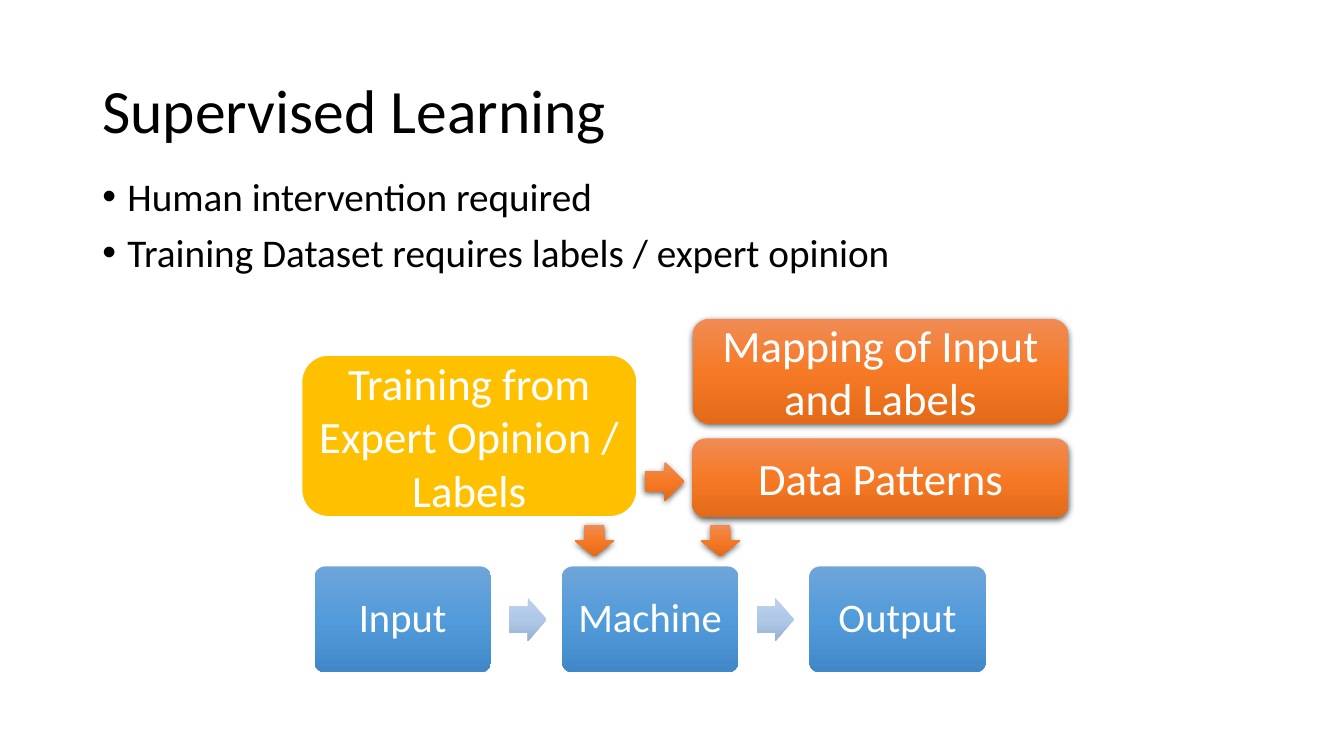
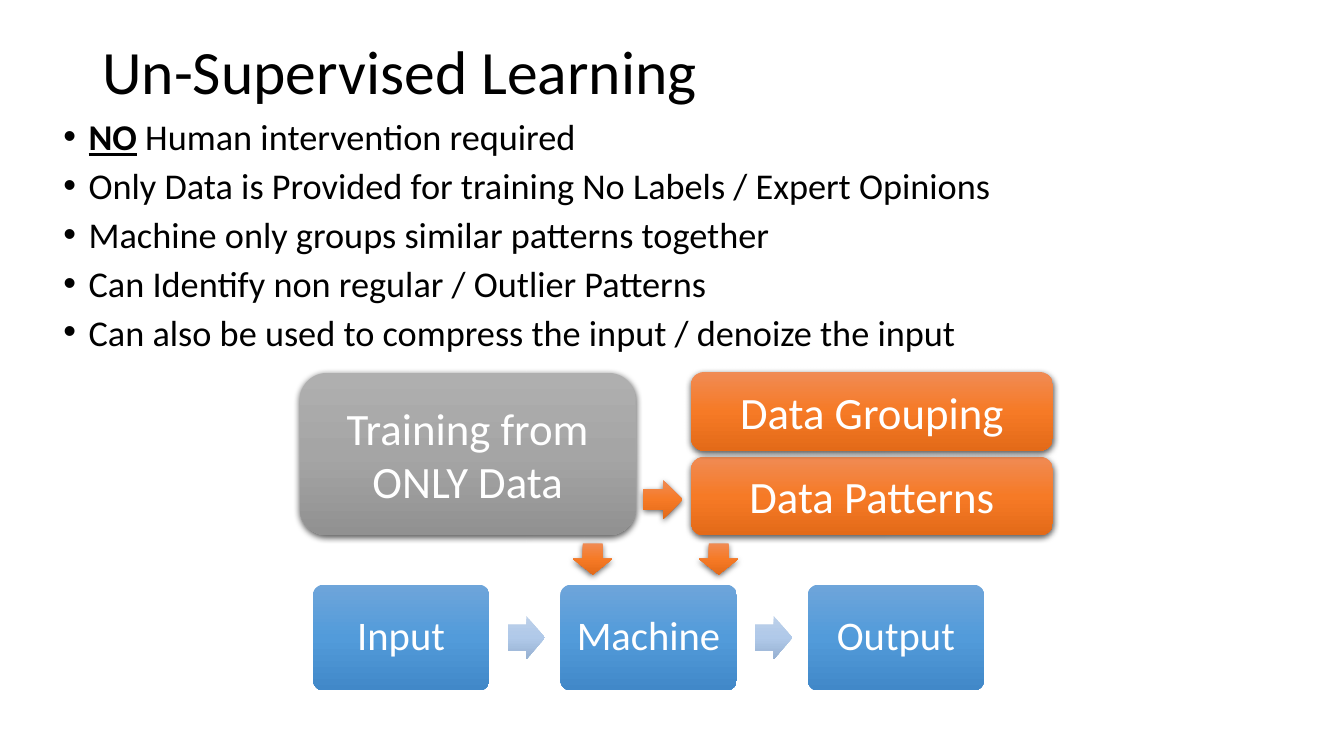
from copy import deepcopy

from lxml import etree
from pptx import Presentation, util as u
from pptx.dml import color
from pptx.enum import shapes, text
from pptx.oxml import ns

Pt = u.Pt
KIND = shapes.MSO_SHAPE
BLACK, WHITE, GOLD = "000000", "FFFFFF", "FFC000"
ORANGE = ("F08B54", "F67A26", "E36A18")
BLUE = ("6EA5DA", "529BDA", "4188C8")
PALE_BLUE = ("BDD0E9", "B0C9E9", "96B0D1")
GREY = ("AFAFAF", "A5A5A5", "919191")


def rgb(value):
    return color.RGBColor.from_string(value)


def add_child(parent, tag, **attributes):
    child = etree.SubElement(parent, ns.qn(tag))
    for name, value in attributes.items():
        child.set(name, str(value))
    return child


def write(frame, content, size=32, ink=WHITE, align=text.PP_ALIGN.CENTER,
          anchor=text.MSO_ANCHOR.MIDDLE, spacing=1.0, bullet=None, lead=""):
    frame.word_wrap = True
    frame.vertical_anchor = anchor
    for index, line in enumerate(content.split("\n")):
        paragraph = frame.paragraphs[0] if index == 0 else frame.add_paragraph()
        paragraph.alignment = align
        paragraph.line_spacing = spacing
        if bullet:
            paragraph.space_before = Pt(10 if index else 0)
            properties = paragraph._p.get_or_add_pPr()
            properties.set("marL", str(Pt(18)))
            properties.set("indent", str(-Pt(18)))
            add_child(properties, "a:buFont", typeface="Arial")
            add_child(properties, "a:buChar", char=bullet)
        strong = lead if line.startswith(lead) else ""
        for part in filter(None, (strong, line[len(strong):])):
            run = paragraph.add_run()
            run.text = part
            run.font.name = "Calibri"
            run.font.size = Pt(size)
            run.font.color.rgb = rgb(ink)
            run.font.bold = run.font.underline = part == strong


class Deck:
    """Holds the deck's style and the slide being built."""

    def __init__(self):
        self.presentation = Presentation()
        self.presentation.slide_width = Pt(960)
        self.presentation.slide_height = Pt(540)

    def new_slide(self):
        layout = self.presentation.slide_layouts[6]
        self.slide = self.presentation.slides.add_slide(layout)

    def text_area(self, box, content, **style):
        area = self.slide.shapes.add_textbox(*map(Pt, box))
        write(area.text_frame, content, ink=BLACK, align=text.PP_ALIGN.LEFT, **style)

    def title(self, top, content):
        self.text_area((66, top, 828, 104.4), content, size=44, spacing=0.9)

    def bullets(self, box, content, **style):
        self.text_area(box, content, anchor=text.MSO_ANCHOR.TOP, bullet="•", **style)

    def block(self, kind, box, fill, rounding=None, shadow=False, label="", **style):
        block = self.slide.shapes.add_shape(kind, *map(Pt, box))
        if rounding is not None:
            block.adjustments[0] = rounding
        block.shadow.inherit = False
        if isinstance(fill, str):
            block.fill.solid()
            block.fill.fore_color.rgb = rgb(fill)
            block.line.color.rgb = rgb(WHITE)
            block.line.width = Pt(1.5)
        else:
            self.shade(block, fill)
            block.line.fill.background()
        if shadow:
            effects = block._element.spPr.find(ns.qn("a:effectLst"))
            cast = add_child(effects, "a:outerShdw", blurRad=Pt(4.5), dist=Pt(1.5),
                             dir=5400000, algn="ctr", rotWithShape=0)
            add_child(add_child(cast, "a:srgbClr", val=BLACK), "a:alpha", val=63000)
        if label:
            write(block.text_frame, label, **style)

    def shade(self, block, tones):
        block.fill.gradient()
        block.fill.gradient_angle = 270
        stops = block._element.spPr.find(".//" + ns.qn("a:gsLst"))
        stops.insert(1, deepcopy(stops[0]))
        for stop, tone, position in zip(block.fill.gradient_stops, tones, (0, 0.5, 1)):
            stop.color.rgb = rgb(tone)
            stop.position = position

    def pipeline(self, left, top):
        pitch = 176.7
        for index, step in enumerate(("Input", "Machine", "Output")):
            step_left = left + index * pitch
            self.block(KIND.ROUNDED_RECTANGLE, (step_left, top, 126, 75.6), BLUE,
                       rounding=0.1, label=step, size=29, spacing=0.9)
            if index < 2:
                self.block(KIND.RIGHT_ARROW, (step_left + 139, top + 22.4, 26.7, 31),
                           PALE_BLUE, rounding=0.6)

    def learning_diagram(self, left, top, training, training_fill,
                         result, result_rise, result_height, result_width):
        self.pipeline(left, top)
        self.block(KIND.ROUNDED_RECTANGLE, (left - 9.5, top - 151.2, 240, 116),
                   training_fill, shadow=training_fill != GOLD, label=training)
        for arrow_left in (185.8, 275.8):
            self.block(KIND.DOWN_ARROW, (left + arrow_left, top - 29.5, 28, 22.3),
                       ORANGE, shadow=True)
        self.block(KIND.RIGHT_ARROW, (left + 236, top - 74.8, 28, 28), ORANGE, shadow=True)
        for label, rise, height in (("Data Patterns", 91.4, 56.2),
                                    (result, result_rise, result_height)):
            self.block(KIND.ROUNDED_RECTANGLE,
                       (left + 270, top - rise, result_width, height),
                       ORANGE, shadow=True, label=label)


def main():
    deck = Deck()

    deck.new_slide()
    deck.title(28.8, "Supervised Learning")
    deck.bullets((66, 123, 828, 80),
                 "Human intervention required\n"
                 "Training Dataset requires labels / expert opinion",
                 size=28, spacing=0.9)
    deck.learning_diagram(224.7, 404.6, "Training from Expert Opinion / Labels", GOLD,
                          "Mapping of Input and Labels", 177, 75, 268.6)

    deck.new_slide()
    deck.title(0.7, "Un-Supervised Learning")
    deck.bullets((38.2, 84.2, 860, 178),
                 "NO Human intervention required\n"
                 "Only Data is Provided for training No Labels / Expert Opinions\n"
                 "Machine only groups similar patterns together\n"
                 "Can Identify non regular / Outlier Patterns\n"
                 "Can also be used to compress the input / denoize the input",
                 size=25.9, spacing=0.8, lead="NO")
    deck.learning_diagram(223.6, 417.6, "Training from ONLY Data", GREY,
                          "Data Grouping", 151.9, 56.2, 258.5)

    deck.presentation.save("out.pptx")


if __name__ == "__main__":
    main()
